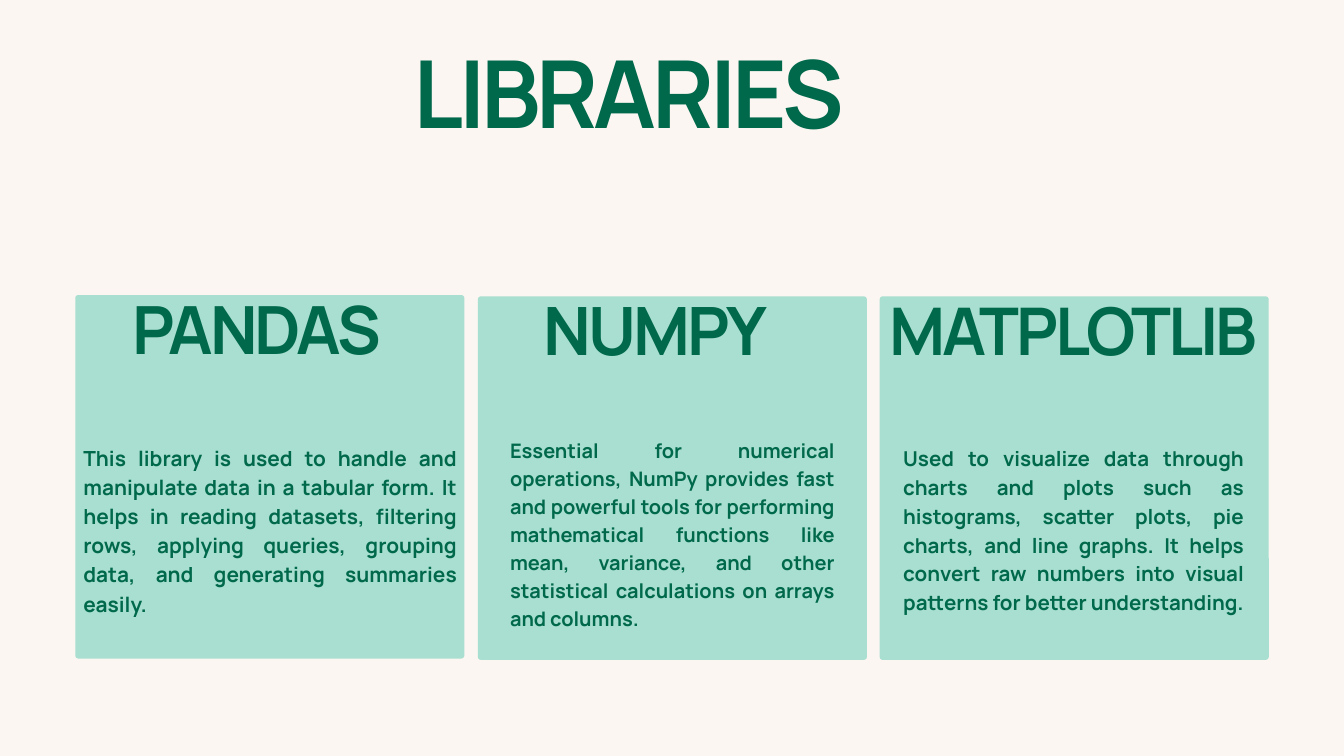
from dataclasses import dataclass

import pptx
import pptx.dml.color
import pptx.enum.shapes
import pptx.enum.text
import pptx.util

Inches = pptx.util.Inches
Pt = pptx.util.Pt
Align = pptx.enum.text.PP_ALIGN


@dataclass(frozen=True)
class Theme:
    font: str = "Manrope"
    back: str = "FBF6F1"
    card: str = "A9DFD0"
    ink: str = "00694C"
    title: float = 100.4
    heads: tuple = (71.2, 71.4, 70.4)
    notes: tuple = (22.3, 21.4, 22)
    tight: float = 0.9
    loose: float = 1.4
    track: float = -0.046


THEME = Theme()
SIDE = 5.79
TALL = 5.41
CURVE = 0.045

CARDS = [
    ((1.12, 4.39), "PANDAS", (1.62, 4.59, 4.4, 0.98),
     "This library is used to handle and manipulate data in a tabular form. "
     "It helps in reading datasets, filtering rows, applying queries, "
     "grouping data, and generating summaries easily.",
     (1.24, 6.57, 5.56, 2.56)),
    ((7.11, 4.41), "NUMPY", (7.93, 4.6, 3.66, 0.98),
     "Essential for numerical operations, NumPy provides fast and powerful "
     "tools for performing mathematical functions like mean, variance, and "
     "other statistical calculations on arrays and columns.",
     (7.59, 6.47, 4.83, 2.91)),
    ((13.09, 4.41), "MATPLOTLIB", (12.96, 4.61, 6.03, 0.97),
     "Used to visualize data through charts and plots such as histograms, "
     "scatter plots, pie charts, and line graphs. It helps convert raw "
     "numbers into visual patterns for better understanding.",
     (13.44, 6.58, 5.07, 2.55)),
]


def color(code):
    return pptx.dml.color.RGBColor.from_string(code)


def add_card(slide, spot):
    kind = pptx.enum.shapes.MSO_SHAPE.ROUNDED_RECTANGLE
    card = slide.shapes.add_shape(kind, *map(Inches, (*spot, SIDE, TALL)))
    card.adjustments[0] = CURVE / TALL
    card.shadow.inherit = False
    card.fill.solid()
    card.fill.fore_color.rgb = color(THEME.card)
    card.line.fill.background()


def add_text(slide, box, text, size, align, lead):
    frame = slide.shapes.add_textbox(*map(Inches, box)).text_frame
    frame.word_wrap = True
    frame.auto_size = pptx.enum.text.MSO_AUTO_SIZE.SHAPE_TO_FIT_TEXT
    frame.margin_left = frame.margin_right = 0
    frame.margin_top = frame.margin_bottom = 0
    para = frame.paragraphs[0]
    para.alignment = align
    para.line_spacing = Pt(round(size * lead, 1))
    run = para.add_run()
    run.text = text
    run.font.name = THEME.font
    run.font.size = Pt(size)
    run.font.bold = True
    run.font.color.rgb = color(THEME.ink)
    return run


def add_head(slide, box, text, size):
    run = add_text(slide, box, text, size, Align.CENTER, THEME.tight)
    track = round(size * THEME.track, 1)
    run.font._element.set("spc", str(round(track * 100)))


def add_note(slide, box, text, size):
    add_text(slide, box, text, size, Align.JUSTIFY, THEME.loose)


def main():
    deck = pptx.Presentation()
    deck.slide_width = Inches(20)
    deck.slide_height = Inches(11.25)
    slide = deck.slides.add_slide(deck.slide_layouts[6])
    slide.background.fill.solid()
    slide.background.fill.fore_color.rgb = color(THEME.back)

    add_head(slide, (1.78, 0.93, 15.15, 1.37), "LIBRARIES", THEME.title)
    for card, big, small in zip(CARDS, THEME.heads, THEME.notes):
        spot, head, top, note, base = card
        add_card(slide, spot)
        add_head(slide, top, head, big)
        add_note(slide, base, note, small)

    deck.save("out.pptx")


if __name__ == "__main__":
    main()
